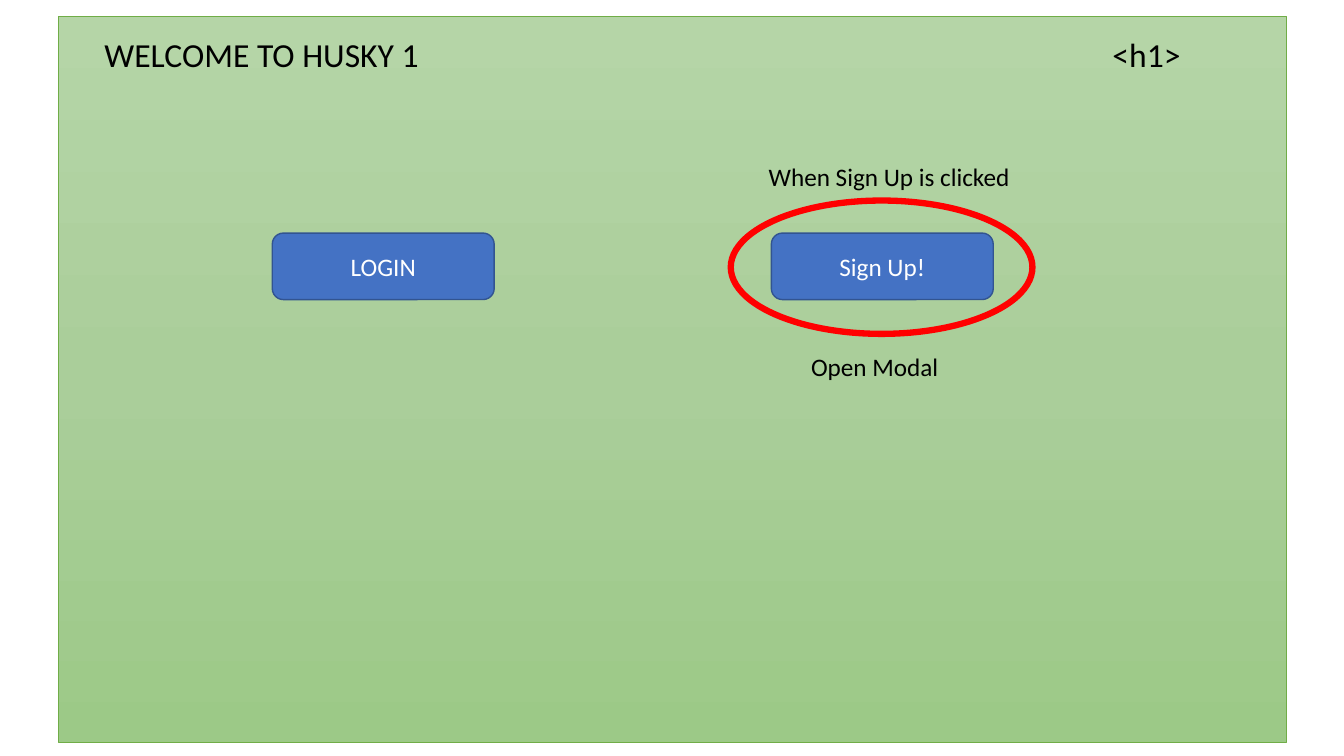
from copy import deepcopy
from dataclasses import dataclass

from lxml import etree
from pptx import Presentation
from pptx.dml.color import RGBColor
from pptx.enum import shapes, text
from pptx.oxml.ns import qn
from pptx.util import Pt

FONT = "Calibri"
BUTTON_TOP, BUTTON_WIDTH, BUTTON_HEIGHT = 166.5, 158.5, 47.5
PAGE_STOPS = {0: "B5D5A7", 0.5: "AACE9A", 1: "9CC987"}


@dataclass
class Button:
    """A clickable button on the welcome page."""
    caption: str
    left: float


@dataclass
class Label:
    """A line of plain text on the page."""
    wording: str
    left: float
    top: float
    width: float
    height: float
    size: float = 18


def colour(value: str) -> RGBColor:
    """Turn a hex string into a colour."""
    return RGBColor.from_string(value)


def write(frame, wording: str, size: float, ink: str) -> None:
    """Put one formatted paragraph into a text frame."""
    frame.word_wrap = True
    frame.text = wording
    for run in frame.paragraphs[0].runs:
        run.font.name = FONT
        run.font.size = Pt(size)
        run.font.color.rgb = colour(ink)


def draw_outline(preset, left: float, top: float, width: float, height: float,
                 line: str, weight: float):
    """Add a flat preset shape with a coloured outline."""
    outline = slide.shapes.add_shape(preset, Pt(left), Pt(top), Pt(width), Pt(height))
    outline.shadow.inherit = False
    outline.line.color.rgb = colour(line)
    outline.line.width = Pt(weight)
    return outline


def draw_page() -> None:
    """Draw the green page with its downward gradient."""
    page = draw_outline(shapes.MSO_SHAPE.RECTANGLE, 42, 11.5, 877, 518.5, "70AD47", 0.5)
    page.fill.gradient()
    page.fill.gradient_angle = 270
    stop_list = page._element.spPr.find(".//" + qn("a:gsLst"))
    stop_list.insert(1, deepcopy(stop_list[0]))
    for stop, (position, shade) in zip(page.fill.gradient_stops, PAGE_STOPS.items()):
        stop.position = position
        stop.color.rgb = colour(shade)


def draw_button(button: Button) -> None:
    """Draw a rounded button with a centred caption."""
    face = draw_outline(shapes.MSO_SHAPE.ROUNDED_RECTANGLE, button.left, BUTTON_TOP,
                        BUTTON_WIDTH, BUTTON_HEIGHT, "325491", 1)
    face.fill.solid()
    face.fill.fore_color.rgb = colour("4472C4")
    write(face.text_frame, button.caption, 18, "FFFFFF")
    face.text_frame.vertical_anchor = text.MSO_ANCHOR.MIDDLE
    face.text_frame.paragraphs[0].alignment = text.PP_ALIGN.CENTER


def draw_label(label: Label):
    """Draw a text label and return its paragraph."""
    box = slide.shapes.add_textbox(Pt(label.left), Pt(label.top),
                                   Pt(label.width), Pt(label.height))
    write(box.text_frame, label.wording, label.size, "000000")
    box.text_frame.auto_size = text.MSO_AUTO_SIZE.SHAPE_TO_FIT_TEXT
    return box.text_frame.paragraphs[0]


def set_tab(paragraph, position: float) -> None:
    """Give a paragraph a single left tab stop."""
    tabs = etree.SubElement(paragraph._p.get_or_add_pPr(), qn("a:tabLst"))
    etree.SubElement(tabs, qn("a:tab"), pos=str(Pt(position)), algn="l")


deck = Presentation()
deck.slide_width, deck.slide_height = Pt(960), Pt(540)
slide = deck.slides.add_slide(deck.slide_layouts[6])

draw_page()
for button in (Button("LOGIN", 194.5), Button("Sign Up!", 551)):
    draw_button(button)

heading = draw_label(Label("WELCOME TO HUSKY 1\t<h1>", 67.5, 21, 829.5, 36, 24))
set_tab(heading, 720)

click_ring = draw_outline(shapes.MSO_SHAPE.OVAL, 522, 143.25, 215.5, 95.25, "FF0000", 4.5)
click_ring.fill.background()

for label in (Label("When Sign Up is clicked", 542, 111.5, 208, 29),
              Label("Open Modal", 572.25, 247.5, 178, 29)):
    draw_label(label)

deck.save("out.pptx")
